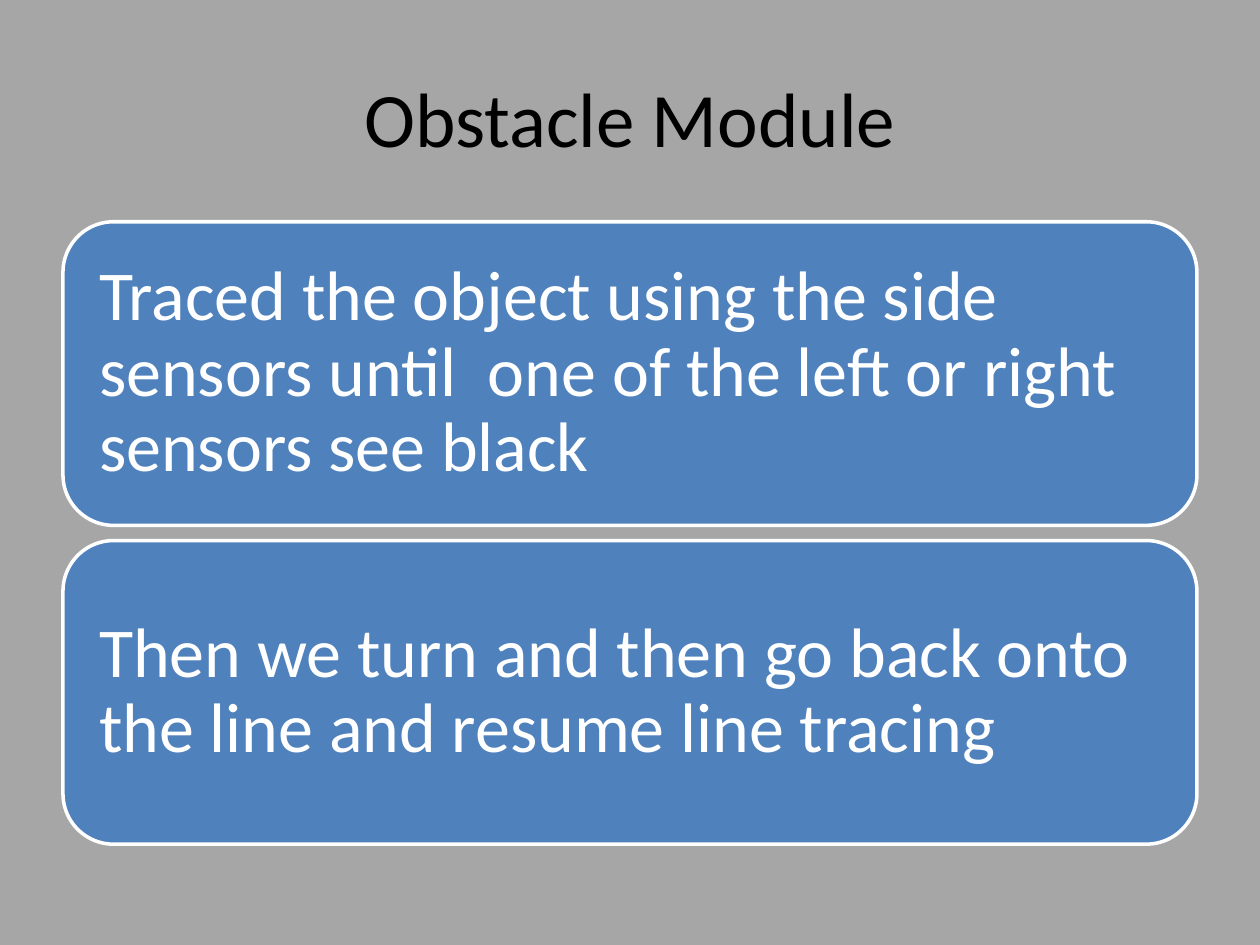
from dataclasses import dataclass

from pptx import Presentation
from pptx.dml.color import RGBColor
from pptx.enum.shapes import MSO_SHAPE
from pptx.enum.text import MSO_ANCHOR, PP_ALIGN
from pptx.util import Inches, Pt


@dataclass(frozen=True)
class Theme:
    back: RGBColor = RGBColor(0xA6, 0xA6, 0xA6)
    card: RGBColor = RGBColor(0x4F, 0x81, 0xBD)
    dark: RGBColor = RGBColor(0, 0, 0)
    light: RGBColor = RGBColor(0xFF, 0xFF, 0xFF)
    font: str = "Calibri"
    head: Pt = Pt(44)
    body: Pt = Pt(40)
    edge: Pt = Pt(2)


@dataclass(frozen=True)
class Grid:
    left: float = 0.5
    top: float = 1.76
    width: float = 9
    height: float = 2.41
    gap: float = 0.12

    def box(self, row: int) -> list:
        top = self.top + row * (self.height + self.gap)
        return [Inches(n) for n in (self.left, top, self.width, self.height)]


@dataclass(frozen=True)
class Card:
    row: int
    text: str


THEME = Theme()
GRID = Grid()
CARDS = (
    Card(0, "Traced the object using the side sensors until  one of the left or right sensors see black"),
    Card(1, "Then we turn and then go back onto the line and resume line tracing"),
)


def apply(item, values: dict) -> None:
    for name, value in values.items():
        setattr(item, name, value)


def write(shape, text: str, size: Pt, color: RGBColor, frame: dict, para: dict) -> None:
    apply(shape.text_frame, {"text": text, "word_wrap": True,
                             "vertical_anchor": MSO_ANCHOR.MIDDLE, **frame})
    line = shape.text_frame.paragraphs[0]
    apply(line, para)
    font = line.runs[0].font
    apply(font, {"name": THEME.font, "size": size})
    font.color.rgb = color


def draw_title(slide, text: str) -> None:
    title = slide.shapes.title
    place = zip(("left", "top", "width", "height"), (0.5, 0.3, 9, 1.25))
    apply(title, {name: Inches(size) for name, size in place})
    write(title, text, THEME.head, THEME.dark, {}, {"alignment": PP_ALIGN.CENTER})


def draw_card(slide, card: Card) -> None:
    shape = slide.shapes.add_shape(MSO_SHAPE.ROUNDED_RECTANGLE, *GRID.box(card.row))
    shape.shadow.inherit = False
    shape.fill.solid()
    shape.fill.fore_color.rgb = THEME.card
    shape.line.color.rgb = THEME.light
    shape.line.width = THEME.edge
    sides = ("left", "top", "right", "bottom")
    frame = {f"margin_{side}": Inches(0.17) for side in sides}
    write(shape, card.text, THEME.body, THEME.light, frame,
          {"alignment": PP_ALIGN.LEFT, "line_spacing": 0.9})


def main() -> None:
    deck = Presentation()
    apply(deck, {"slide_width": Inches(10), "slide_height": Inches(7.5)})
    slide = deck.slides.add_slide(deck.slide_layouts.get_by_name("Title Only"))
    slide.background.fill.solid()
    slide.background.fill.fore_color.rgb = THEME.back
    draw_title(slide, "Obstacle Module")
    for card in CARDS:
        draw_card(slide, card)
    deck.save("out.pptx")


if __name__ == "__main__":
    main()
